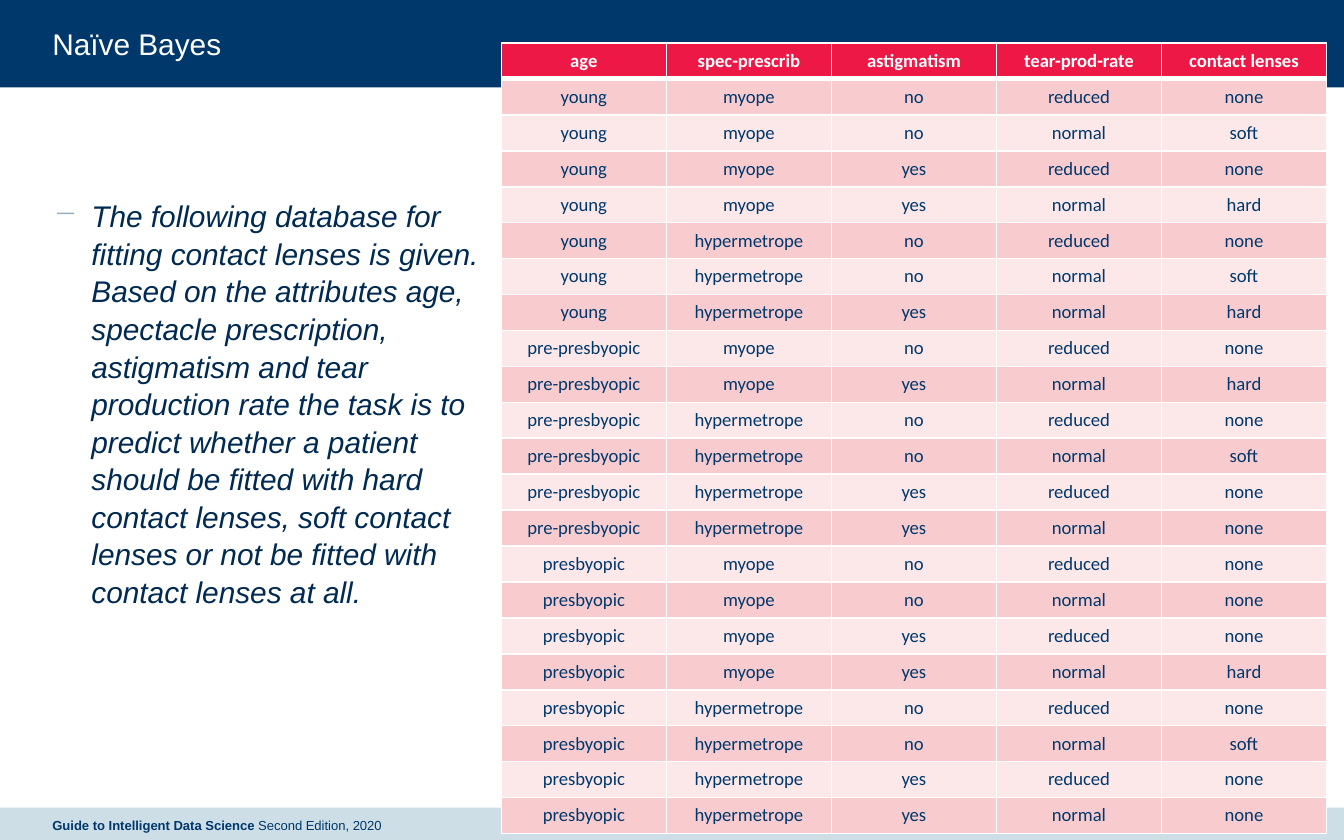
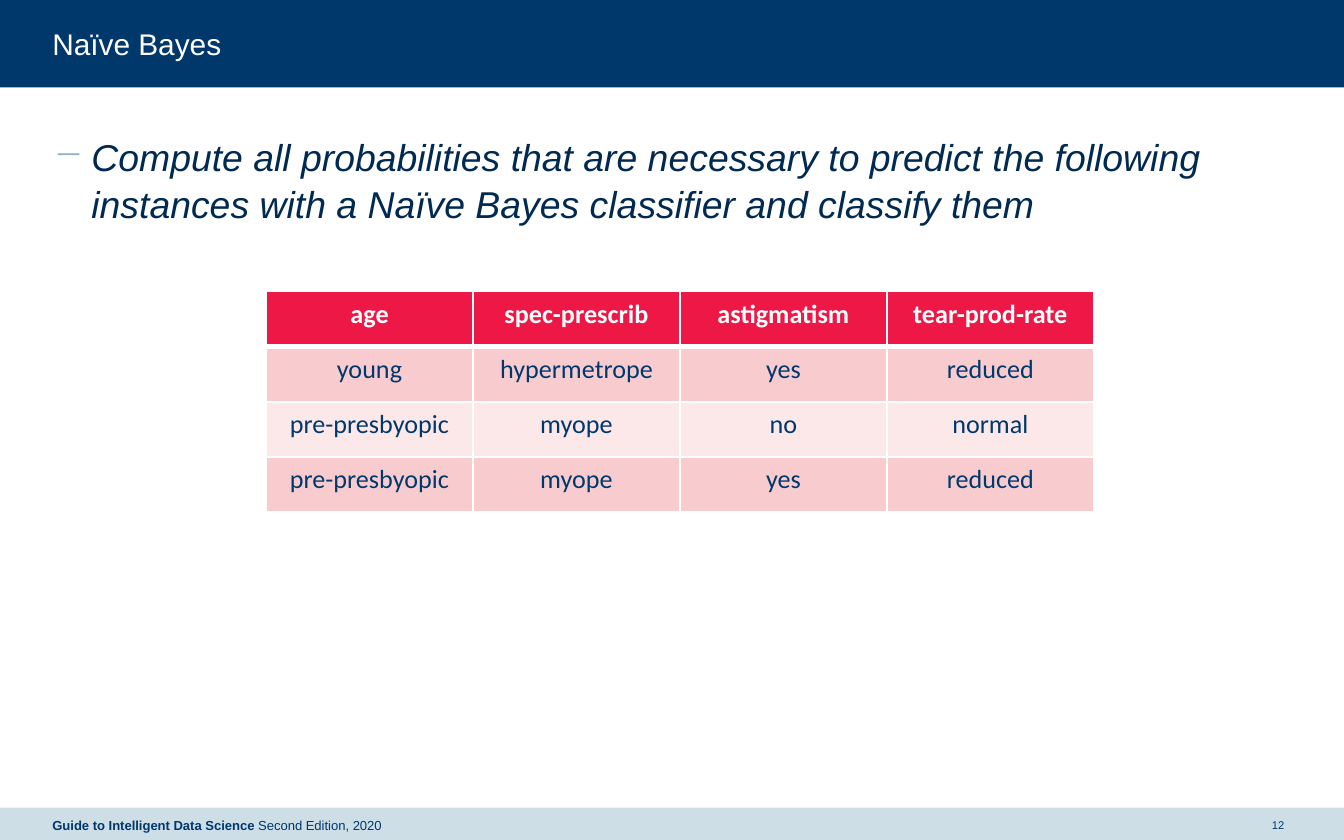
"""Builds two slides on a Naïve Bayes exercise about fitting contact lenses."""
from lxml import etree
from pptx import Presentation
from pptx import util as u
from pptx.dml.color import RGBColor
from pptx.enum import shapes, text
from pptx.oxml.ns import qn

NAVY = RGBColor(0x00, 0x38, 0x6C)
INK = RGBColor(0x00, 0x2A, 0x51)
DASH = RGBColor(0x92, 0xAE, 0xBC)
MIST = RGBColor(0xCD, 0xDE, 0xE7)
WHITE = RGBColor(0xFF, 0xFF, 0xFF)
RED = RGBColor(0xED, 0x18, 0x46)
ROSE = RGBColor(0xF8, 0xCC, 0xCF)
BLUSH = RGBColor(0xFC, 0xE8, 0xE9)

WIDTH, HEIGHT = u.Inches(10), u.Inches(6.25)
MARGIN = u.Inches(0.39)
HEAD_HEIGHT = u.Inches(0.65)
FOOT_TOP, FOOT_HEIGHT = u.Inches(6.01), u.Inches(0.26)

ATTRIBUTES = ["age", "spec-prescrib", "astigmatism", "tear-prod-rate"]
PATIENTS_BY_AGE = {
    "young": [
        "myope no reduced none",
        "myope no normal soft",
        "myope yes reduced none",
        "myope yes normal hard",
        "hypermetrope no reduced none",
        "hypermetrope no normal soft",
        "hypermetrope yes normal hard",
    ],
    "pre-presbyopic": [
        "myope no reduced none",
        "myope yes normal hard",
        "hypermetrope no reduced none",
        "hypermetrope no normal soft",
        "hypermetrope yes reduced none",
        "hypermetrope yes normal none",
    ],
    "presbyopic": [
        "myope no reduced none",
        "myope no normal none",
        "myope yes reduced none",
        "myope yes normal hard",
        "hypermetrope no reduced none",
        "hypermetrope no normal soft",
        "hypermetrope yes reduced none",
        "hypermetrope yes normal none",
    ],
}
PATIENTS = [ATTRIBUTES + ["contact lenses"]] + [
    [age] + values.split() for age, group in PATIENTS_BY_AGE.items() for values in group
]
INSTANCES = [
    ATTRIBUTES,
    ["young", "hypermetrope", "yes", "reduced"],
    ["pre-presbyopic", "myope", "no", "normal"],
    ["pre-presbyopic", "myope", "yes", "reduced"],
]

TASK = (
    "The following database for fitting contact lenses is given. Based on the "
    "attributes age, spectacle prescription, astigmatism and tear production rate "
    "the task is to predict whether a patient should be fitted with hard contact "
    "lenses, soft contact lenses or not be fitted with contact lenses at all."
)
QUESTION = (
    "Compute all probabilities that are necessary to predict the following "
    "instances with a Naïve Bayes classifier and classify them"
)

SLIDES = [
    dict(body=TASK, size=16, body_at=(0.39, 1.46, 3.19, 4.24), number="",
         records=PATIENTS, table_at=(3.73, 0.32, 6.14, 5.87), table_size=10),
    dict(body=QUESTION, size=20, body_at=(0.39, 0.98, 9.16, 4.71), number="12",
         records=INSTANCES, table_at=(1.98, 2.17, 6.16, 1.64), table_size=14),
]


def write(box, spans, size, color, anchor):
    """Fill a text frame with one margin-free paragraph of (text, bold) spans."""
    frame = box.text_frame
    frame.word_wrap = True
    frame.vertical_anchor = anchor
    frame.margin_left = frame.margin_right = frame.margin_top = frame.margin_bottom = 0
    para = frame.paragraphs[0]
    para.alignment = text.PP_ALIGN.LEFT
    for words, bold in spans:
        span = para.add_run()
        span.text = words
        span.font.name, span.font.size, span.font.bold = "Arial", u.Pt(size), bold
        span.font.color.rgb = color
    return para


def draw_border(cell, side, points):
    """Draw one white edge of a table cell."""
    line = etree.SubElement(cell._tc.get_or_add_tcPr(), qn(f"a:ln{side}"), w=str(u.Pt(points)))
    fill = etree.SubElement(line, qn("a:solidFill"))
    etree.SubElement(fill, qn("a:srgbClr"), val=str(WHITE))


deck = Presentation()
deck.slide_width, deck.slide_height = WIDTH, HEIGHT
layout = deck.slide_layouts[5]
pages = [deck.slides.add_slide(layout) for slide in SLIDES]

for top, height, color in [(0, HEAD_HEIGHT, NAVY), (FOOT_TOP, FOOT_HEIGHT, MIST)]:
    band = pages[0].shapes.add_shape(shapes.MSO_SHAPE.RECTANGLE, 0, top, WIDTH, height)
    band.shadow.inherit = False
    band.fill.solid()
    band.fill.fore_color.rgb = color
    band.line.fill.background()
    layout.placeholders[0].element.addprevious(band.element)

for page, slide in zip(pages, SLIDES):
    title = page.shapes.title
    title.left, title.top = MARGIN, u.Inches(0.19)
    title.width, title.height = WIDTH - 2 * MARGIN, u.Inches(0.27)
    write(title, [("Naïve Bayes", False)], 16, WHITE, text.MSO_ANCHOR.BOTTOM)
    title.text_frame.auto_size = text.MSO_AUTO_SIZE.SHAPE_TO_FIT_TEXT

    body = page.shapes.add_textbox(*map(u.Inches, slide["body_at"]))
    para = write(body, [(slide["body"], False)], slide["size"], INK, text.MSO_ANCHOR.TOP)
    para.runs[0].font.italic = True
    para.line_spacing, para.space_before = 1.05, u.Pt(7.5)
    props = para._p.get_or_add_pPr()
    props.set("marL", str(u.Inches(0.29)))
    props.set("indent", str(u.Inches(-0.28)))
    bullet_color = etree.SubElement(props, qn("a:buClr"))
    etree.SubElement(bullet_color, qn("a:srgbClr"), val=str(DASH))
    etree.SubElement(props, qn("a:buChar"), char="−")

    footer = page.shapes.add_textbox(MARGIN, FOOT_TOP, u.Inches(4.39), FOOT_HEIGHT)
    credit = [("Guide to Intelligent Data Science ", True), ("Second Edition, 2020", False)]
    write(footer, credit, 7, NAVY, text.MSO_ANCHOR.MIDDLE)
    if slide["number"]:
        number = page.shapes.add_textbox(u.Inches(9.41), FOOT_TOP, u.Inches(0.2), FOOT_HEIGHT)
        para = write(number, [(slide["number"], False)], 6, NAVY, text.MSO_ANCHOR.MIDDLE)
        para.alignment = text.PP_ALIGN.CENTER

    records = slide["records"]
    table = page.shapes.add_table(
        len(records), len(records[0]), *map(u.Inches, slide["table_at"])
    ).table
    for row, record in enumerate(records):
        for column, value in enumerate(record):
            cell = table.cell(row, column)
            edges = {"L": 1, "R": 1, "T": 3 if row == 1 else 1, "B": 3 if row == 0 else 1}
            for side, points in edges.items():
                draw_border(cell, side, points)
            cell.fill.solid()
            cell.fill.fore_color.rgb = RED if row == 0 else (BLUSH, ROSE)[row % 2]
            cell.text_frame.text = value
            para = cell.text_frame.paragraphs[0]
            para.alignment = text.PP_ALIGN.CENTER
            font = para.runs[0].font
            font.name, font.size, font.bold = "Calibri", u.Pt(slide["table_size"]), row == 0
            font.color.rgb = WHITE if row == 0 else NAVY

deck.save("out.pptx")
